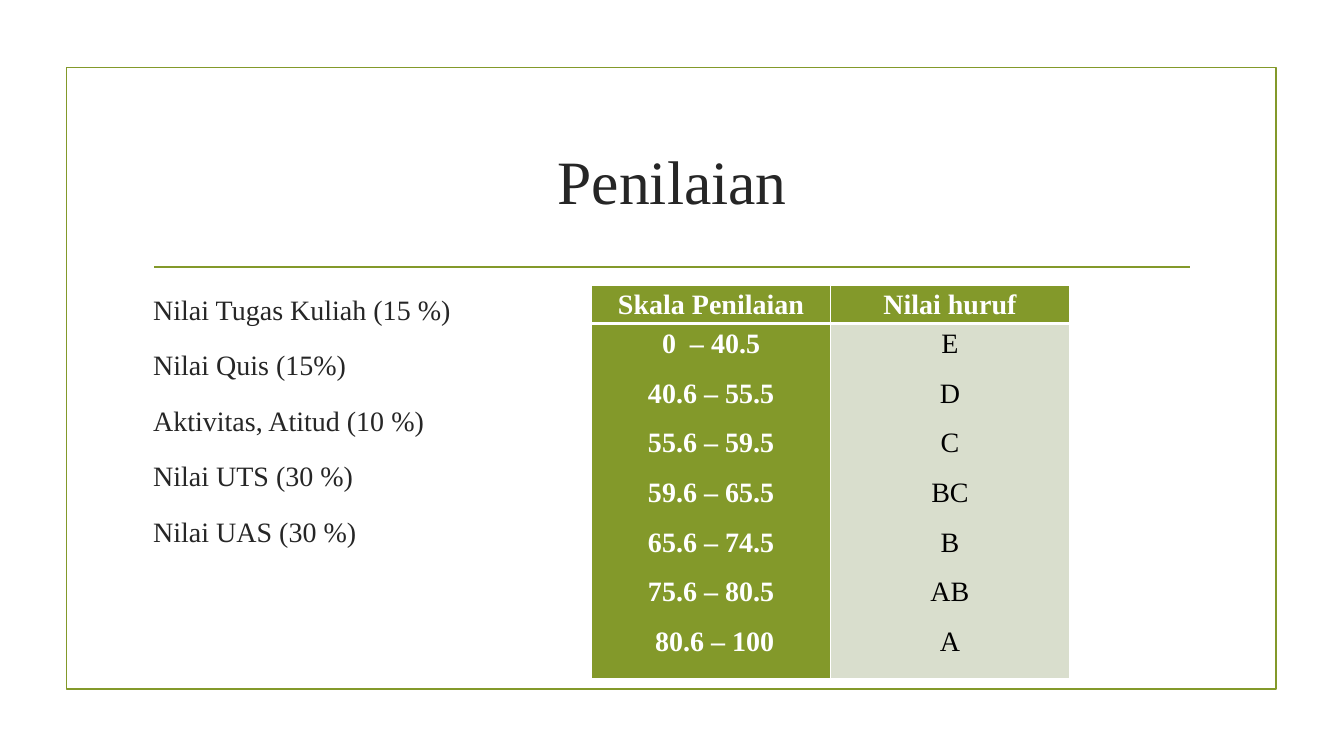
"""Build the grading slide: weights on the left, scale table on the right."""
from lxml.etree import SubElement
from pptx import Presentation
from pptx.dml.color import RGBColor as RGB
from pptx.enum.shapes import MSO_CONNECTOR as CONN, MSO_SHAPE as SHAPE
from pptx.enum.text import MSO_ANCHOR as ANCHOR, PP_ALIGN as ALIGN
from pptx.oxml.ns import qn
from pptx.util import Cm, Pt

TITLE = "Penilaian"
WEIGHTS = ["Nilai Tugas Kuliah (15 %)", "Nilai Quis (15%)", "Aktivitas, Atitud (10 %)",
           "Nilai UTS (30 %)", "Nilai UAS (30 %)"]
HEADERS = ["Skala Penilaian", "Nilai huruf"]
GRADES = [("0  – 40.5", "E"), ("40.6 – 55.5", "D"), ("55.6 – 59.5", "C"),
          ("59.6 – 65.5", "BC"), ("65.6 – 74.5", "B"), ("75.6 – 80.5", "AB"),
          ("80.6 – 100", "A")]

THEME = {"font": "Times New Roman", "title": Pt(44), "body": Pt(20), "line": Pt(1.25),
         "green": RGB.from_string("83992A"), "pale": RGB.from_string("D9DECD"),
         "ink": RGB.from_string("262626"), "black": RGB.from_string("000000"),
         "white": RGB.from_string("FFFFFF")}
COL_W, ROW_H = Cm(6.02), (Cm(0.9), Cm(8.41))
LIST_FMT = {"line_spacing": 1.15, "space_before": Pt(6), "space_after": Pt(6)}
CELL_FMT = {"line_spacing": 1.15, "space_after": Pt(10), "alignment": ALIGN.CENTER}
CELL_BOX = {"margin_left": Cm(0.18), "margin_right": Cm(0.18),
            "margin_top": 0, "margin_bottom": 0}


def apply(obj, fmt):
    for name, value in fmt.items():
        setattr(obj, name, value)


def write(tf, lines, fmt, size="body", color="ink", bold=False):
    for i, line in enumerate(lines):
        p = tf.add_paragraph() if i else tf.paragraphs[0]
        apply(p, fmt)
        r = p.add_run()
        r.text = line
        apply(r.font, {"name": THEME["font"], "size": THEME[size], "bold": bold})
        r.font.color.rgb = THEME[color]


def add_text(s, box, lines, fmt, anchor, size="body"):
    tf = s.shapes.add_textbox(*map(Cm, box)).text_frame
    apply(tf, {"word_wrap": True, "vertical_anchor": anchor})
    write(tf, lines, fmt, size)


def add_borders(cell, widths):
    tc_pr = cell._tc.get_or_add_tcPr()
    for i, (side, width) in enumerate(widths.items()):
        ln = SubElement(tc_pr, qn(f"a:ln{side}"), w=str(Pt(width)))
        fill = SubElement(ln, qn("a:solidFill"))
        SubElement(fill, qn("a:srgbClr"), val=str(THEME["white"]))
        tc_pr.remove(ln)
        tc_pr.insert(i, ln)


def add_scale(s):
    table = s.shapes.add_table(2, 2, Cm(14.91), Cm(7.18), 2 * COL_W, sum(ROW_H)).table
    for row, height in zip(table.rows, ROW_H):
        row.height = height
    for c, (header, column) in enumerate(zip(HEADERS, zip(*GRADES))):
        table.columns[c].width = COL_W
        for r, lines in enumerate(([header], column)):
            cell = table.cell(r, c)
            plain = r == 1 and c == 1
            apply(cell, CELL_BOX)
            cell.fill.solid()
            cell.fill.fore_color.rgb = THEME["pale" if plain else "green"]
            write(cell.text_frame, lines, CELL_FMT,
                  color="black" if plain else "white", bold=not plain)
            add_borders(cell, {"L": 1, "R": 1, "T": 3 if r else 1, "B": 1 if r else 3})
    last = table.cell(1, 0).text_frame.paragraphs[-1]
    last._p.get_or_add_pPr().set("marL", str(Cm(0.18)))


def main():
    prs = Presentation()
    prs.slide_width, prs.slide_height = Cm(33.87), Cm(19.05)
    s = prs.slides.add_slide(prs.slide_layouts[6])

    frame = s.shapes.add_shape(SHAPE.RECTANGLE, Cm(1.68), Cm(1.7), Cm(30.48), Cm(15.67))
    frame.shadow.inherit = False
    frame.fill.background()
    rule = s.shapes.add_connector(CONN.STRAIGHT, Cm(3.89), Cm(6.73), Cm(30), Cm(6.73))
    SubElement(rule._element.spPr, qn("a:effectLst"))
    for sp in (frame, rule):
        sp.line.color.rgb = THEME["green"]
        sp.line.width = THEME["line"]

    add_text(s, (3.61, 2.72, 26.67, 3.63), [TITLE], {"alignment": ALIGN.CENTER},
             ANCHOR.MIDDLE, "title")
    add_text(s, (3.61, 7.11, 8.28, 9.22), WEIGHTS, LIST_FMT, ANCHOR.TOP)
    add_scale(s)
    prs.save("out.pptx")


if __name__ == "__main__":
    main()
